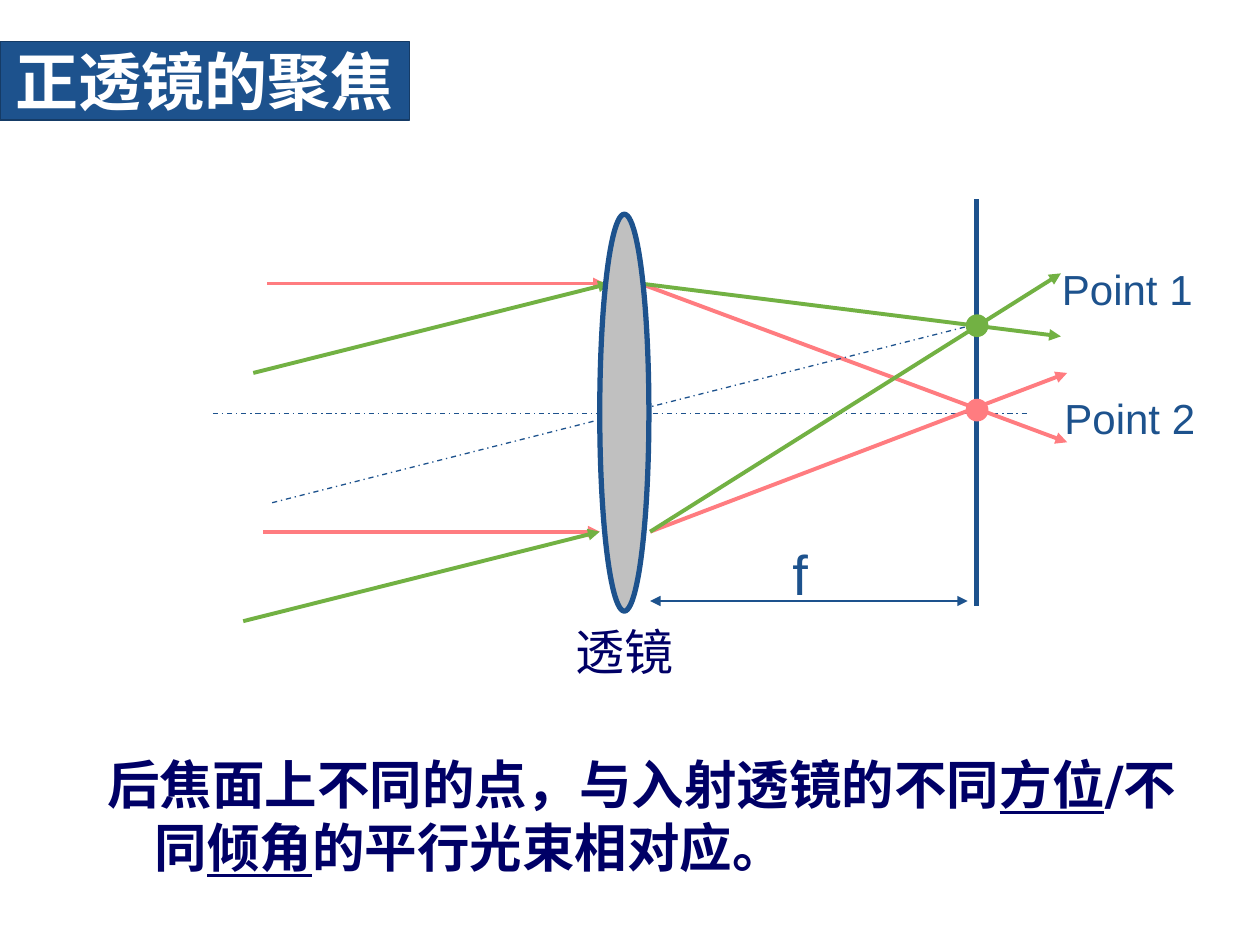
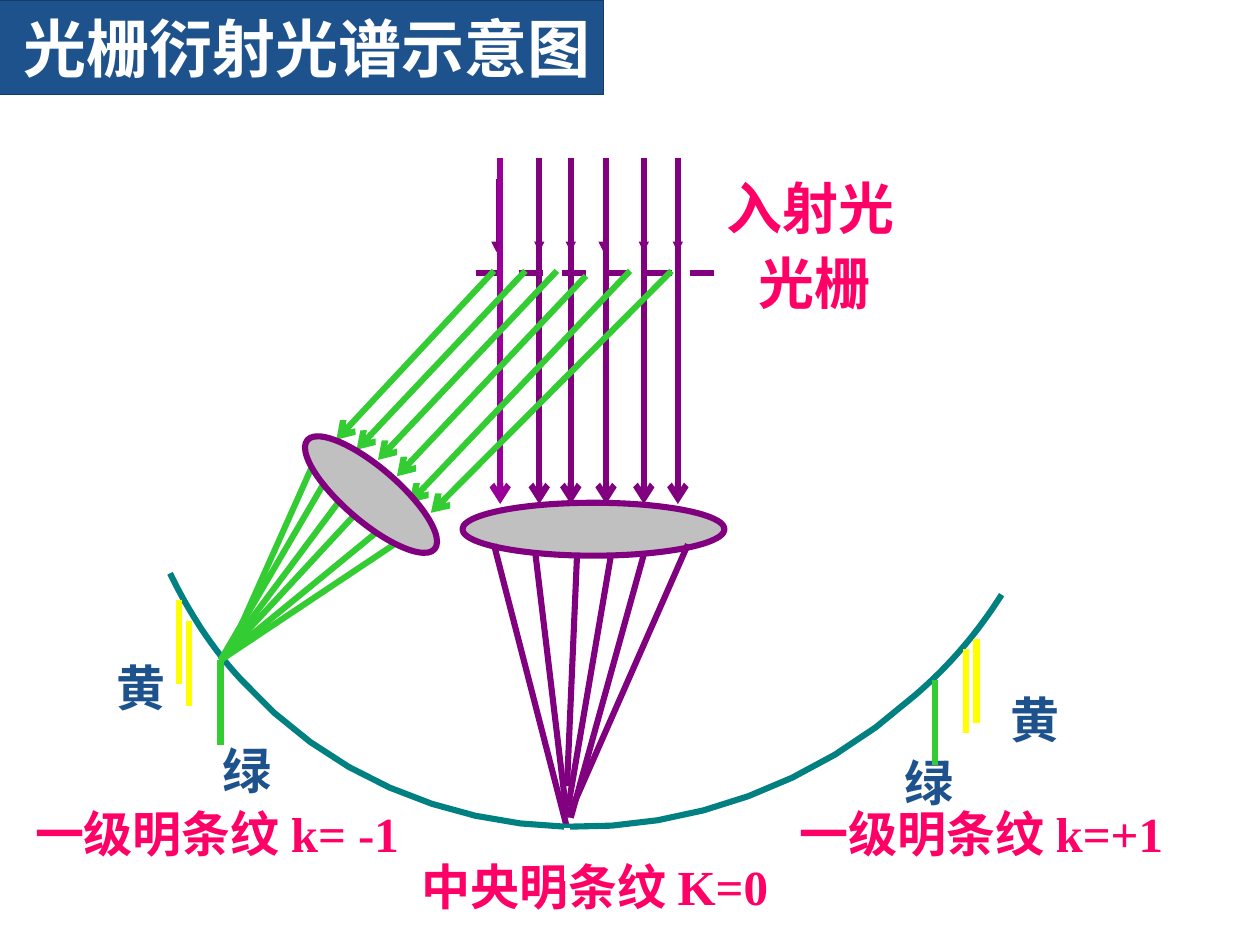
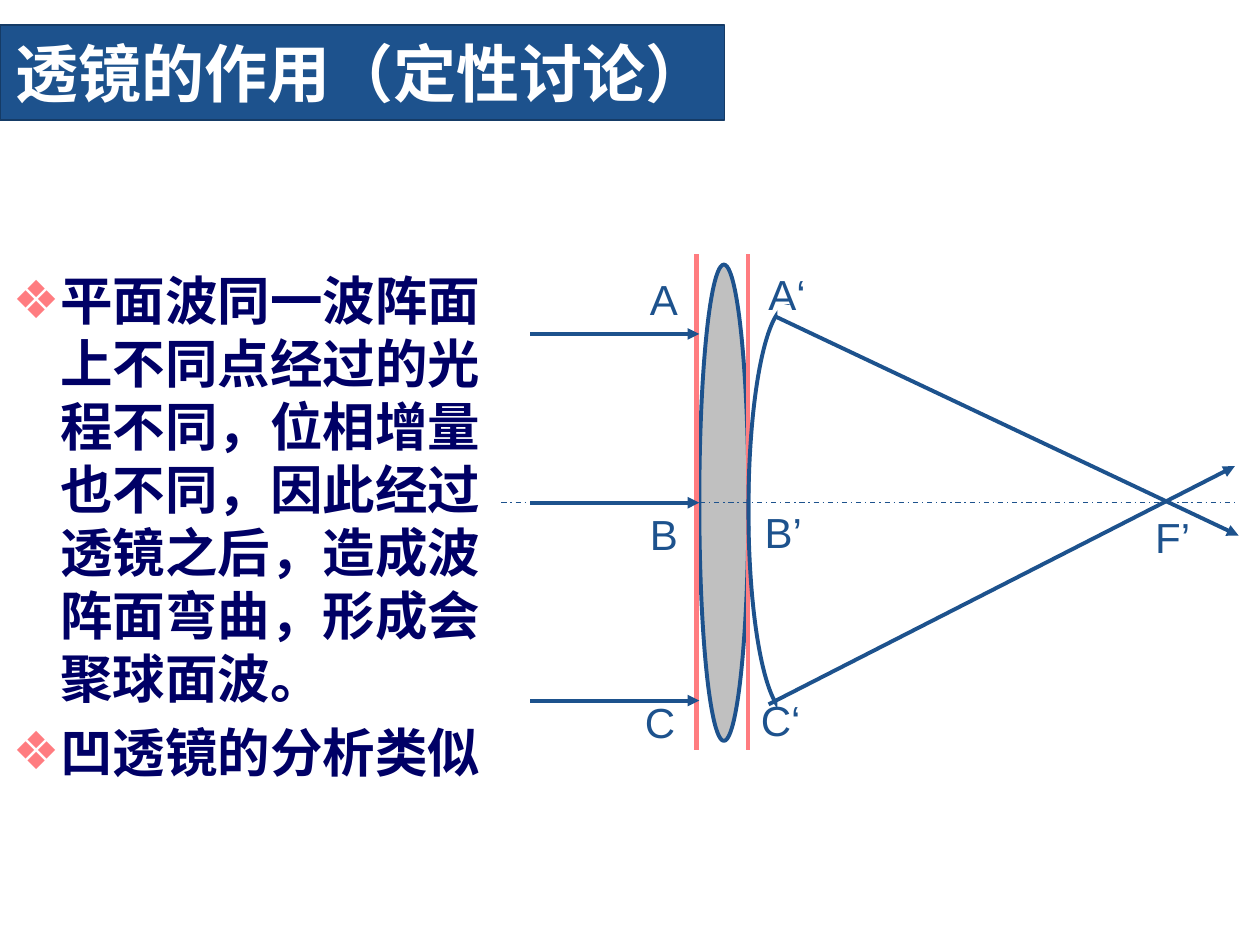
from dataclasses import dataclass
from itertools import chain

from lxml.etree import SubElement
from pptx import Presentation
from pptx.dml.color import RGBColor
from pptx.enum.dml import MSO_LINE
from pptx.enum.shapes import MSO_CONNECTOR, MSO_SHAPE
from pptx.enum.text import MSO_ANCHOR, MSO_AUTO_SIZE, PP_ALIGN
from pptx.oxml.ns import qn
from pptx.util import Inches, Pt

COLORS = {
    "blue": "1D528D", "edge": "153B66", "navy": "000066", "white": "FFFFFF",
    "coral": "FF7C80", "leaf": "72B143", "glass": "C0C0C0", "pink": "FF0066",
    "purple": "800080", "violet": "990099", "teal": "008080",
    "green": "33CC33", "yellow": "FFFF00",
}
HEADING_FONT = "DejaVu Sans"
Point = tuple[float, float]
Box = tuple[float, float, float, float]


@dataclass(frozen=True)
class Stroke:
    color: str
    width: float
    dash: MSO_LINE | None = None
    head: str | None = None
    tail: str | None = None


@dataclass(frozen=True)
class Label:
    left: float
    top: float
    width: float
    height: float
    text: str
    size: float = 24
    color: str = "blue"
    font: str = "Arial"
    bold: bool = False
    wrap: bool = False


@dataclass(frozen=True)
class Phrase:
    text: str
    underline: bool = False


def rgb(name: str) -> RGBColor:
    return RGBColor.from_string(COLORS[name])


def inches(values: tuple) -> list:
    return [Inches(value) for value in values]


def style_run(span, size: float, color: str, font: str, bold: bool) -> None:
    span.font.size = Pt(size)
    span.font.color.rgb = rgb(color)
    span.font.name = font
    span.font.bold = bold


def style_line(line, stroke: Stroke) -> None:
    line.color.rgb = rgb(stroke.color)
    line.width = Pt(stroke.width)
    if stroke.dash:
        line.dash_style = stroke.dash


def move(shape, box: Box) -> None:
    shape.left, shape.top, shape.width, shape.height = inches(box)


def add_page(deck, title: str, box: Box, align=PP_ALIGN.CENTER, layout: int = 1):
    page = deck.slides.add_slide(deck.slide_layouts[layout])
    band = page.shapes.title
    move(band, box)
    band.fill.solid()
    band.fill.fore_color.rgb = rgb("blue")
    style_line(band.line, Stroke("edge", 1))
    frame = band.text_frame
    frame.text = title
    frame.vertical_anchor = MSO_ANCHOR.MIDDLE
    frame.auto_size = MSO_AUTO_SIZE.NONE
    para = frame.paragraphs[0]
    para.alignment = align
    style_run(para.runs[0], 36, "white", HEADING_FONT, True)
    return page


def fill_body(page, box: Box, paragraphs: list[list[Phrase]], bullet: str = "") -> None:
    body = page.placeholders[1]
    move(body, box)
    frame = body.text_frame
    frame.auto_size = MSO_AUTO_SIZE.NONE
    for index, phrases in enumerate(paragraphs):
        para = frame.add_paragraph() if index else frame.paragraphs[0]
        props = para._p.get_or_add_pPr()
        props.set("marL", str(Inches(0.38)))
        props.set("indent", str(-Inches(0.38)))
        if bullet:
            tint = SubElement(props, qn("a:buClr"))
            SubElement(tint, qn("a:srgbClr"), val=COLORS["coral"])
            SubElement(props, qn("a:buChar"), char=bullet)
        else:
            SubElement(props, qn("a:buNone"))
        para.space_before = Pt(6 if index else 0)
        for phrase in phrases:
            span = para.add_run()
            span.text = phrase.text
            style_run(span, 30, "navy", HEADING_FONT, True)
            span.font.underline = phrase.underline


def add_label(page, label: Label) -> None:
    box = page.shapes.add_textbox(
        *inches((label.left, label.top, label.width, label.height)))
    frame = box.text_frame
    frame.text = label.text
    frame.word_wrap = label.wrap
    frame.auto_size = MSO_AUTO_SIZE.SHAPE_TO_FIT_TEXT
    style_run(frame.paragraphs[0].runs[0], label.size, label.color, label.font, label.bold)


def add_ray(page, start: Point, end: Point, stroke: Stroke) -> None:
    ray = page.shapes.add_connector(MSO_CONNECTOR.STRAIGHT, *inches(start + end))
    style_line(ray.line, stroke)
    outline = ray.line._get_or_add_ln()
    for tag, kind in (("a:headEnd", stroke.head), ("a:tailEnd", stroke.tail)):
        if kind:
            SubElement(outline, qn(tag), type=kind)
    SubElement(ray._element.spPr, qn("a:effectLst"))


def add_rays(page, rays: list[tuple[Point, Point]], stroke: Stroke) -> None:
    for start, end in rays:
        add_ray(page, start, end, stroke)


def add_figure(page, box: Box, fill: str | None, stroke: Stroke | None,
               kind=MSO_SHAPE.OVAL, rotation: float = 0) -> None:
    figure = page.shapes.add_shape(kind, *inches(box))
    figure.shadow.inherit = False
    figure.rotation = rotation
    if fill:
        figure.fill.solid()
        figure.fill.fore_color.rgb = rgb(fill)
    else:
        figure.fill.background()
    if stroke:
        style_line(figure.line, stroke)
    else:
        figure.line.fill.background()


def bezier(a: Point, b: Point, c: Point, d: Point, steps: int = 16) -> list[Point]:
    points = []
    for step in range(steps + 1):
        t = step / steps
        weights = ((1 - t) ** 3, 3 * t * (1 - t) ** 2, 3 * t * t * (1 - t), t ** 3)
        points.append(tuple(
            sum(w * p[axis] for w, p in zip(weights, (a, b, c, d))) for axis in (0, 1)))
    return points


def add_screen_arc(page) -> None:
    curves = [
        ((7.95, 4.72), (7.76, 5.02), (7.53, 5.29), (7.26, 5.52)),
        ((7.26, 5.52), (5.66, 6.96), (3.26, 6.9), (1.91, 5.39)),
        ((1.91, 5.39), (1.68, 5.14), (1.5, 4.86), (1.35, 4.55)),
    ]
    points = [inches(point) for point in chain.from_iterable(
        bezier(*curve) for curve in curves)]
    builder = page.shapes.build_freeform(*points[0])
    builder.add_line_segments(points[1:], close=False)
    arc = builder.convert_to_shape()
    arc.shadow.inherit = False
    arc.fill.background()
    style_line(arc.line, Stroke("teal", 3.5))


def build_focusing(deck) -> None:
    page = add_page(deck, "正透镜的聚焦", (0, 0.33, 3.25, 0.62))
    fill_body(page, (0.75, 5.92, 8.84, 1.34), [[
        Phrase("后焦面上不同的点，与入射透镜的不同"), Phrase("方位", True),
        Phrase("/不同"), Phrase("倾角", True), Phrase("的平行光束相对应。")]])
    axis = Stroke("blue", 0.75, MSO_LINE.DASH_DOT)
    upper, lower = (5.08, 2.25), (5.16, 4.22)
    add_ray(page, (1.69, 3.28), (8.15, 3.28), axis)
    add_ray(page, (7.75, 1.58), (7.75, 4.81), Stroke("blue", 3))
    add_rays(page, [
        ((2.12, 2.25), (4.8, 2.25)), ((2.09, 4.22), (4.76, 4.22)),
        (upper, (8.47, 3.51)), (lower, (8.47, 2.96)),
    ], Stroke("coral", 2.25, tail="triangle"))
    add_ray(page, (2.16, 3.99), (7.76, 2.57), axis)
    add_rays(page, [
        ((2.01, 2.96), (4.84, 2.25)), ((1.93, 4.93), (4.76, 4.22)),
        (upper, (8.42, 2.67)), (lower, (8.42, 2.17)),
    ], Stroke("leaf", 2.25, tail="triangle"))
    add_ray(page, (5.16, 4.77), (7.68, 4.77),
            Stroke("blue", 0.75, head="triangle", tail="triangle"))
    for label in (
        Label(4.47, 4.88, 0.98, 0.57, "透镜", 28, "navy"),
        Label(6.19, 4.23, 0.32, 0.63, "f", 32),
        Label(8.33, 2.04, 1.24, 0.5, "Point 1"),
        Label(8.35, 3.07, 1.24, 0.5, "Point 2"),
    ):
        add_label(page, label)
    add_figure(page, (4.76, 1.7, 0.39, 3.15), "glass", Stroke("blue", 3))
    for top, color in ((2.5, "leaf"), (3.17, "coral")):
        add_figure(page, (7.67, top, 0.17, 0.17), color, Stroke(color, 0.75))


def build_grating(deck) -> None:
    page = add_page(deck, "光栅衍射光谱示意图", (-0.01, 0, 4.8, 0.75), PP_ALIGN.RIGHT, 5)
    for left, top, width, height, text, size, color in (
        (5.67, 1.33, 1.83, 0.63, "入射光", 32, "pink"),
        (5.92, 1.92, 1.42, 0.63, "光栅", 32, "pink"),
        (3.25, 6.75, 3.17, 0.57, "中央明条纹 K=0", 28, "pink"),
        (6.25, 6.33, 3.5, 0.57, "一级明条纹 k=+1", 28, "pink"),
        (0.18, 6.33, 3.25, 0.57, "一级明条纹 k= -1", 28, "pink"),
        (1.67, 5.83, 0.58, 0.57, "绿", 28, "blue"),
        (0.83, 5.17, 0.75, 0.57, "黄", 28, "blue"),
        (7.92, 5.42, 0.58, 0.57, "黄", 28, "blue"),
        (7.08, 5.92, 0.58, 0.57, "绿", 28, "blue"),
    ):
        add_label(page, Label(left, top, width, height, text, size, color,
                              "Times New Roman", True, True))
    purple, green = Stroke("purple", 3.5), Stroke("green", 3.5)
    add_ray(page, (3.78, 2.17), (5.78, 2.17), Stroke("purple", 3.5, MSO_LINE.DASH))
    for x in (3.97, 4.28, 4.53, 4.81, 5.11, 5.38):
        color = "violet" if x == 3.97 else "purple"
        add_ray(page, (x, 1.25), (x, 4), Stroke(color, 3.5, tail="arrow"))
    add_figure(page, (3.67, 3.99, 2.08, 0.42), "glass", purple)
    add_rays(page, [
        ((3.92, 4.32), (4.5, 6.57)), ((5.46, 4.32), (4.51, 6.48)),
        ((4.25, 4.4), (4.5, 6.49)), ((4.58, 4.4), (4.5, 6.24)),
        ((4.85, 4.4), (4.51, 6.4)), ((5.11, 4.4), (4.53, 6.49)),
    ], purple)
    add_screen_arc(page)
    add_rays(page, [
        ((3.92, 2.15), (2.67, 3.49)), ((4.17, 2.15), (2.83, 3.57)),
        ((4.42, 2.15), (3, 3.65)), ((4.65, 2.19), (3.15, 3.78)),
        ((5.33, 2.15), (3.42, 4.07)), ((5, 2.15), (3.25, 3.99)),
    ], Stroke("green", 3.5, tail="arrow"))
    focus, near_focus = (1.75, 5.24), (1.83, 5.15)
    add_rays(page, [
        ((2.5, 3.65), near_focus), ((3.25, 4.24), focus), ((2.58, 3.82), focus),
        ((2.75, 3.9), focus), ((2.83, 4.07), near_focus), ((3.08, 4.15), focus),
    ], green)
    for x in (3.94, 4.28, 4.53, 4.79, 5.11, 5.38):
        add_ray(page, (x, 1.42), (x, 2), Stroke("purple", 0.5, tail="triangle"))
    add_ray(page, (4.5, 6.57), (4.5, 6.99), Stroke("white", 3.5))
    for x, top, color in (
        (1.75, 5.24, "green"), (1.42, 4.76, "yellow"), (1.5, 4.93, "yellow"),
        (7.42, 5.4, "green"), (7.67, 5.15, "yellow"), (7.75, 5.07, "yellow"),
    ):
        add_ray(page, (x, top), (x, top + 0.67), Stroke(color, 3.5))
    add_figure(page, (2.73, 3.26, 0.43, 1.33), "glass", purple, rotation=310.6)


def build_lens_effect(deck) -> None:
    page = add_page(deck, "透镜的作用（定性讨论）", (0, 0.2, 5.75, 0.75))
    fill_body(page, (0, 2.08, 4.06, 4.96), [
        [Phrase("平面波同一波阵面上不同点经过的光程不同，位相增量也不同，"
                "因此经过透镜之后，造成波阵面弯曲，形成会聚球面波。")],
        [Phrase("凹透镜的分析类似")],
    ], "❖")
    outline = Stroke("blue", 2.25)
    arrow = Stroke("blue", 2.25, tail="triangle")
    add_figure(page, (5.55, 2.1, 0.39, 3.78), "glass", outline)
    for x, width in ((5.53, 3), (5.94, 2.25)):
        add_ray(page, (x, 2.02), (x, 5.95), Stroke("coral", width))
    for y in (2.65, 3.99, 5.56):
        add_ray(page, (4.21, y), (5.55, y), arrow)
    add_figure(page, (5.94, 2.43, 0.63, 3.23), None, outline)
    add_figure(page, (6.17, 2.42, 0.67, 3.62), "white", None, MSO_SHAPE.RECTANGLE)
    add_ray(page, (3.98, 3.99), (9.8, 3.99), Stroke("blue", 0.75, MSO_LINE.DASH_DOT))
    add_rays(page, [((6.15, 2.51), (9.83, 4.25)), ((6.1, 5.59), (9.8, 3.7))], arrow)
    for left, top, width, text in (
        (5.06, 2.12, 0.42, "A"), (5.02, 5.48, 0.44, "C"), (5.06, 3.99, 0.42, "B"),
        (6, 2.08, 0.5, "A‘"), (5.94, 5.46, 0.52, "C‘"), (5.97, 3.97, 0.5, "B’"),
        (9.07, 4.01, 0.48, "F’"),
    ):
        add_label(page, Label(left, top, width, 0.5, text))


def main() -> None:
    deck = Presentation()
    deck.slide_width, deck.slide_height = Inches(10), Inches(7.5)
    build_focusing(deck)
    build_grating(deck)
    build_lens_effect(deck)
    deck.save("out.pptx")


if __name__ == "__main__":
    main()
